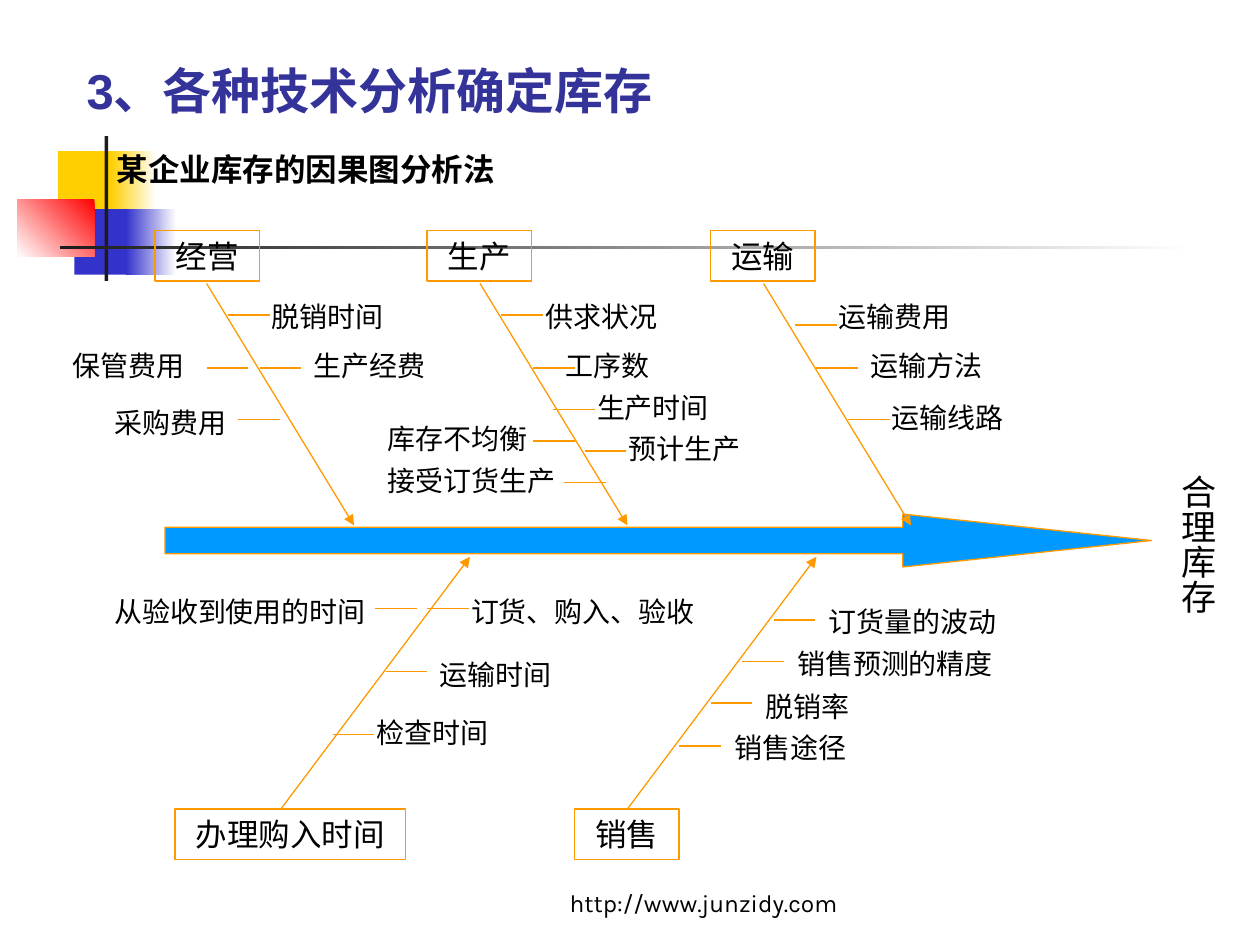
from lxml import etree
from pptx import Presentation
from pptx import util as u
from pptx.dml.color import RGBColor
from pptx.enum import shapes, text
from pptx.oxml import ns

COLORS = {
    "yellow": "FFCF01", "blue": "3333CC", "red": "FF0000", "dark": "1C1C1C",
    "white": "FFFFFF", "title": "333399", "text": "000000",
    "line": "FF9900", "spine": "0099FF",
}
SERIF = "Times New Roman"
TICK = 0.33

# Master decoration: left, top, width, height, colours, angle (counter-clockwise)
DECORATION = [
    (0.46, 1.2, 0.48, 0.52, ["yellow"], 0),
    (0.88, 1.2, 0.36, 0.52, ["white", "yellow"], 180),
    (0.59, 1.66, 0.46, 0.52, ["blue"], 0),
    (1, 1.66, 0.4, 0.52, ["white", "blue"], 180),
    (0.14, 1.58, 0.61, 0.46, ["red", "white"], 225),
    (0.83, 1.08, 0.03, 1.15, ["dark"], 0),
    (0.48, 1.95, 9, 0.03, ["white", "dark"], 180),
]

# Main causes: name, box left, box width, bone start
UPPER = [("经营", 1.23, 0.83, 1.64), ("生产", 3.39, 0.83, 3.81),
         ("运输", 5.64, 0.83, 6.06)]
LOWER = [("办理购入时间", 1.39, 1.83, 2.23), ("销售", 4.56, 0.83, 4.98)]

# Sub-causes: name, left, top, width, tick left, tick height on the page
CAUSES = [
    ("脱销时间", 2.06, 2.33, 1.25, 1.81, 2.5),
    ("生产经费", 2.39, 2.72, 1.25, 2.06, 2.92),
    ("保管费用", 0.48, 2.72, 1.25, 1.64, 2.92),
    ("采购费用", 0.81, 3.17, 1.33, 1.89, 3.33),
    ("供求状况", 4.23, 2.33, 1.25, 3.98, 2.5),
    ("工序数", 4.39, 2.72, 1.25, 4.23, 2.92),
    ("生产时间", 4.64, 3.05, 1.25, 4.39, 3.25),
    ("预计生产", 4.89, 3.38, 1.25, 4.64, 3.58),
    ("库存不均衡", 2.98, 3.3, 1.58, 4.23, 3.5),
    ("接受订货生产", 2.98, 3.63, 1.58, 4.48, 3.83),
    ("运输费用", 6.56, 2.33, 1.25, 6.31, 2.58),
    ("运输方法", 6.81, 2.72, 1.25, 6.48, 2.92),
    ("运输线路", 6.98, 3.13, 1.25, 6.73, 3.33),
    ("从验收到使用的时间", 0.81, 4.67, 2.33, 2.98, 4.83),
    ("订货、购入、验收", 3.64, 4.67, 2.17, 3.39, 4.83),
    ("运输时间", 3.39, 5.17, 1.25, 3.06, 5.33),
    ("检查时间", 2.89, 5.63, 1.25, 2.64, 5.83),
    ("订货量的波动", 6.48, 4.75, 1.58, 6.14, 4.92),
    ("销售预测的精度", 6.23, 5.08, 1.92, 5.89, 5.25),
    ("脱销率", 5.98, 5.42, 1.08, 5.64, 5.58),
    ("销售途径", 5.73, 5.75, 1.17, 5.39, 5.92),
]


def rgb(name):
    return RGBColor.from_string(COLORS[name])


def inches(*values):
    return [u.Inches(value) for value in values]


def write(box, words, size=16, font=SERIF, color="text", bold=False,
          align=None, anchor=text.MSO_ANCHOR.TOP, vertical=False):
    frame = box.text_frame
    frame.word_wrap = True
    frame.vertical_anchor = anchor
    if vertical:
        frame.margin_left = frame.margin_right = u.Inches(0.05)
        frame.margin_top = frame.margin_bottom = u.Inches(0.1)
        box.element.txBody.find(ns.qn("a:bodyPr")).set("vert", "eaVert")
    para = frame.paragraphs[0]
    para.alignment = align
    span = para.add_run()
    span.text = words
    span.font.name = font
    span.font.size = u.Pt(size)
    span.font.bold = bold
    span.font.color.rgb = rgb(color)


def add_text(page, place, words, **style):
    box = page.shapes.add_textbox(*inches(*place))
    write(box, words, **style)


def add_block(page, place, fills=(), angle=0, outline=None,
              kind=shapes.MSO_SHAPE.RECTANGLE):
    block = page.shapes.add_shape(kind, *inches(*place))
    block.shadow.inherit = False
    if len(fills) == 2:
        block.fill.gradient()
        block.fill.gradient_angle = angle
        for stop, name in zip(block.fill.gradient_stops, fills):
            stop.color.rgb = rgb(name)
    elif fills:
        block.fill.solid()
        block.fill.fore_color.rgb = rgb(fills[0])
    else:
        block.fill.background()
    if outline:
        block.line.color.rgb = rgb(outline)
        block.line.width = u.Pt(0.75)
    else:
        block.line.fill.background()
    return block


def add_line(page, start, end, arrow=False):
    line = page.shapes.add_connector(
        shapes.MSO_CONNECTOR.STRAIGHT, *inches(*start, *end))
    line.line.color.rgb = rgb("line")
    line.line.width = u.Pt(0.75)
    if arrow:
        etree.SubElement(line.line._get_or_add_ln(), ns.qn("a:tailEnd"),
                         type="triangle")
    etree.SubElement(line.element.spPr, ns.qn("a:effectLst"))


def add_bones(page, causes, box_top, start_y, run, rise):
    for name, left, width, start_x in causes:
        box = add_block(page, (left, box_top, width, 0.4), outline="line")
        write(box, name, size=18, align=text.PP_ALIGN.CENTER)
        add_line(page, (start_x, start_y), (start_x + run, start_y + rise),
                 arrow=True)


def main():
    deck = Presentation()
    deck.slide_width, deck.slide_height = inches(10, 7.5)
    page = deck.slides.add_slide(deck.slide_layouts[6])

    # Decoration and title
    for *place, fills, angle in DECORATION:
        add_block(page, place, fills, angle)
    add_text(page, (0.59, 0.43, 4.8, 0.57), "3、各种技术分析确定库存",
             size=28, font="Arial", color="title", bold=True)

    # Spine and effect
    spine = add_block(page, (1.31, 4.08, 7.83, 0.42), ["spine"],
                      outline="line", kind=shapes.MSO_SHAPE.RIGHT_ARROW)
    spine.adjustments[0] = 0.5
    spine.adjustments[1] = 4.7
    add_text(page, (9.19, 3.67, 0.53, 1.33), "合理库存", size=20, vertical=True)

    # Main causes above and below the spine
    add_bones(page, UPPER, 1.83, 2.25, 1.17, 1.92)
    add_bones(page, LOWER, 6.42, 6.42, 1.5, -2)

    # Sub-causes with their ticks
    for name, left, top, width, tick_x, tick_y in CAUSES:
        add_text(page, (left, top, width, 0.37), name)
        add_line(page, (tick_x, tick_y), (tick_x + TICK, tick_y))

    # Subtitle and footer
    add_text(page, (0.83, 1.14, 3.31, 0.4), "某企业库存的因果图分析法",
             size=18, font="Arial", bold=True)
    add_text(page, (4, 6.83, 3.17, 0.5), "http://www.junzidy.com", size=14,
             font="Karla", align=text.PP_ALIGN.CENTER,
             anchor=text.MSO_ANCHOR.BOTTOM)

    deck.save("out.pptx")


if __name__ == "__main__":
    main()
